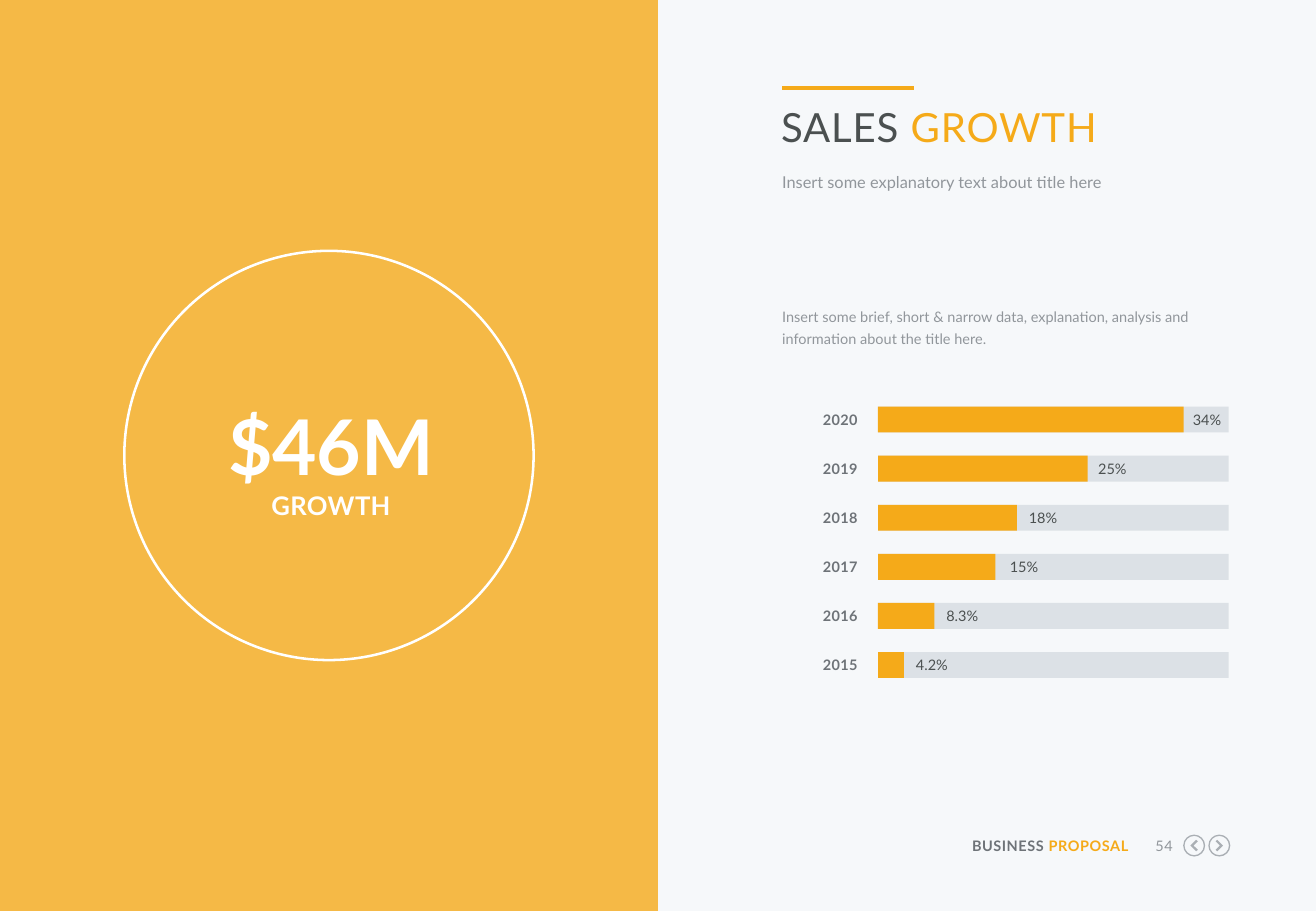
from lxml import etree
from pptx import Presentation
from pptx.dml.color import RGBColor
from pptx.enum.shapes import MSO_CONNECTOR as Connector, MSO_SHAPE as Shape
from pptx.enum.text import MSO_AUTO_SIZE as AutoSize, PP_ALIGN as Align
from pptx.oxml.ns import qn
from pptx.util import Pt

FONT = "Lato"
AMBER, WHITE, PAPER = "F5AA19", "FFFFFF", "F6F8FA"
DARK, MEDIUM, GRAY = "4B5050", "6E7378", "91969B"
TRACK, ICON = "DCE1E6", "AAAFB4"
SMALL = 8.6

SALES = [
    ("2020", "34%", 181.2, 186.6),
    ("2019", "25%", 124.3, 130.5),
    ("2018", "18%", 82.4, 89.4),
    ("2017", "15%", 69.6, 78.1),
    ("2016", "8.3%", 33.5, 40.5),
    ("2015", "4.2%", 15.4, 22.5),
]


def rgb(color):
    return RGBColor.from_string(color)


def add_text(slide, box, runs, size, align=Align.LEFT, bold=False, spacing=0, leading=None):
    frame = slide.shapes.add_textbox(*map(Pt, box)).text_frame
    frame.margin_left = frame.margin_top = frame.margin_right = frame.margin_bottom = 0
    frame.word_wrap = True
    frame.auto_size = AutoSize.SHAPE_TO_FIT_TEXT
    para = frame.paragraphs[0]
    para.alignment = align
    if leading:
        para.line_spacing = leading
    for words, color in runs:
        span = para.add_run()
        span.text = words
        span.font.name = FONT
        span.font.size = Pt(size)
        span.font.bold = bold
        span.font.color.rgb = rgb(color)
        if spacing:
            span.font._element.set("spc", str(round(spacing * 100)))


def add_block(shapes, kind, box, fill=None, line=None, weight=1.5):
    block = shapes.add_shape(kind, *map(Pt, box))
    block.shadow.inherit = False
    if fill:
        block.fill.solid()
        block.fill.fore_color.rgb = rgb(fill)
    else:
        block.fill.background()
    if line:
        block.line.color.rgb = rgb(line)
        block.line.width = Pt(weight)
    else:
        block.line.fill.background()
    return block


def circle(radius):
    handle = radius * 0.55
    points = [(radius, 0)]
    for x, y in ((1, 0), (0, 1), (-1, 0), (0, -1)):
        points += [(radius * x - handle * y, radius * y + handle * x),
                   (handle * x - radius * y, handle * y + radius * x),
                   (-radius * y, radius * x)]
    return points


def bend(lines):
    for first, second, third in zip(lines[::3], lines[1::3], lines[2::3]):
        curve = etree.Element(qn("a:cubicBezTo"))
        first.addprevious(curve)
        for line in (first, second, third):
            curve.append(line[0])
            line.getparent().remove(line)


def add_arrow_icon(slide, center_x, center_y, direction):
    rings = [circle(6.5), circle(5.7)]
    chevron = [(-2.2, -2.5), (0.4, 0), (-2.2, 2.5), (-1.2, 3.4), (2.2, 0), (-1.2, -3.4)]
    builder = None
    for outline in rings + [chevron]:
        points = [(Pt(center_x + direction * x), Pt(center_y + y)) for x, y in outline]
        if builder is None:
            builder = slide.shapes.build_freeform(*points[0])
        else:
            builder.move_to(*points[0])
        builder.add_line_segments(points[1:], close=True)
    icon = builder.convert_to_shape()
    bend(list(icon._element.iter(qn("a:lnTo")))[:24])
    icon.shadow.inherit = False
    icon.fill.solid()
    icon.fill.fore_color.rgb = rgb(ICON)
    icon.line.fill.background()


def add_footer(slide, box):
    left, top, width, height = box
    add_text(slide, (left, top + 1.4, 98.6, 10.8),
             [("BUSINESS ", MEDIUM), ("PROPOSAL", AMBER)],
             SMALL, Align.RIGHT, bold=True, spacing=0.3)
    add_text(slide, (left + 106.7, top + 1.4, 18, 10.8), [("54", GRAY)],
             SMALL, Align.RIGHT, spacing=0.3)
    middle = top + height / 2
    add_arrow_icon(slide, left + width - 6.5, middle, 1)
    add_arrow_icon(slide, left + width - 21.4, middle, -1)


def add_growth_panel(slide, box):
    left, top, width, height = box
    panel = add_block(slide.shapes, Shape.RECTANGLE, box, AMBER)
    color = panel.fill._xPr.find(qn("a:solidFill"))[0]
    etree.SubElement(color, qn("a:alpha")).set("val", "80000")
    center_x, center_y, diameter = left + width / 2, top + height / 2, 242.6
    add_block(slide.shapes, Shape.OVAL,
              (center_x - diameter / 2, center_y - diameter / 2, diameter, diameter),
              line=WHITE)
    text_width = 162.8
    text_left = center_x - text_width / 2 + 1.2
    add_text(slide, (text_left, center_y - 44.6, text_width, 66), [("$46M", WHITE)],
             45.5, Align.CENTER, bold=True, leading=1.2)
    add_text(slide, (text_left, center_y + 20.2, text_width, 18.7), [("GROWTH", WHITE)],
             15.2, Align.CENTER, bold=True, spacing=0.2)


def add_heading(slide, box):
    left, top, width, height = box
    add_text(slide, (left, top + 127.4, width, height - 127.4),
             [("Insert some brief, short & narrow data, explanation, analysis and "
               "information about the title here.", GRAY)], SMALL, leading=1.3)
    add_text(slide, (left - 0.6, top + 8.6, width, 28.8),
             [("SALES ", DARK), ("GROWTH", AMBER)], 23.8, spacing=0.55)
    rule = slide.shapes.add_connector(
        Connector.STRAIGHT, Pt(left), Pt(top), Pt(left + 78), Pt(top))
    rule.line.color.rgb = rgb(AMBER)
    rule.line.width = Pt(2.25)
    etree.SubElement(rule._element.spPr, qn("a:effectLst"))
    add_text(slide, (left, top + 49.6, width, 12),
             [("Insert some explanatory text about title here", GRAY)],
             9.7, leading=Pt(12))


def add_sales_bars(slide, box):
    left, top, width, height = box
    bar_left, bar_height = left + 57.4, 15.4
    pitch = (height - bar_height) / (len(SALES) - 1)
    for row, (year, share, length, label_offset) in enumerate(SALES):
        bar_top = top + row * pitch
        text_top = bar_top + 2.4
        add_text(slide, (left, text_top, 45.4, 10.8), [(year, MEDIUM)],
                 SMALL, Align.RIGHT, bold=True, spacing=0.2)
        bar = slide.shapes.add_group_shape()
        for bar_width, color in ((width - 57.4, TRACK), (length, AMBER)):
            add_block(bar.shapes, Shape.RECTANGLE,
                      (bar_left, bar_top, bar_width, bar_height), color)
        add_text(slide, (bar_left + label_offset, text_top, 20.9, 10.8),
                 [(share, DARK)], SMALL)


def main():
    deck = Presentation()
    deck.slide_width, deck.slide_height = Pt(780), Pt(540)
    slide = deck.slides.add_slide(deck.slide_layouts[6])
    slide.background.fill.solid()
    slide.background.fill.fore_color.rgb = rgb(PAPER)
    add_footer(slide, (570.4, 494.7, 158.8, 13))
    add_growth_panel(slide, (0, 0, 390, 540))
    add_sales_bars(slide, (463, 241, 265.2, 160.9))
    add_heading(slide, (463.6, 52, 265.6, 154.8))
    deck.save("out.pptx")


if __name__ == "__main__":
    main()
